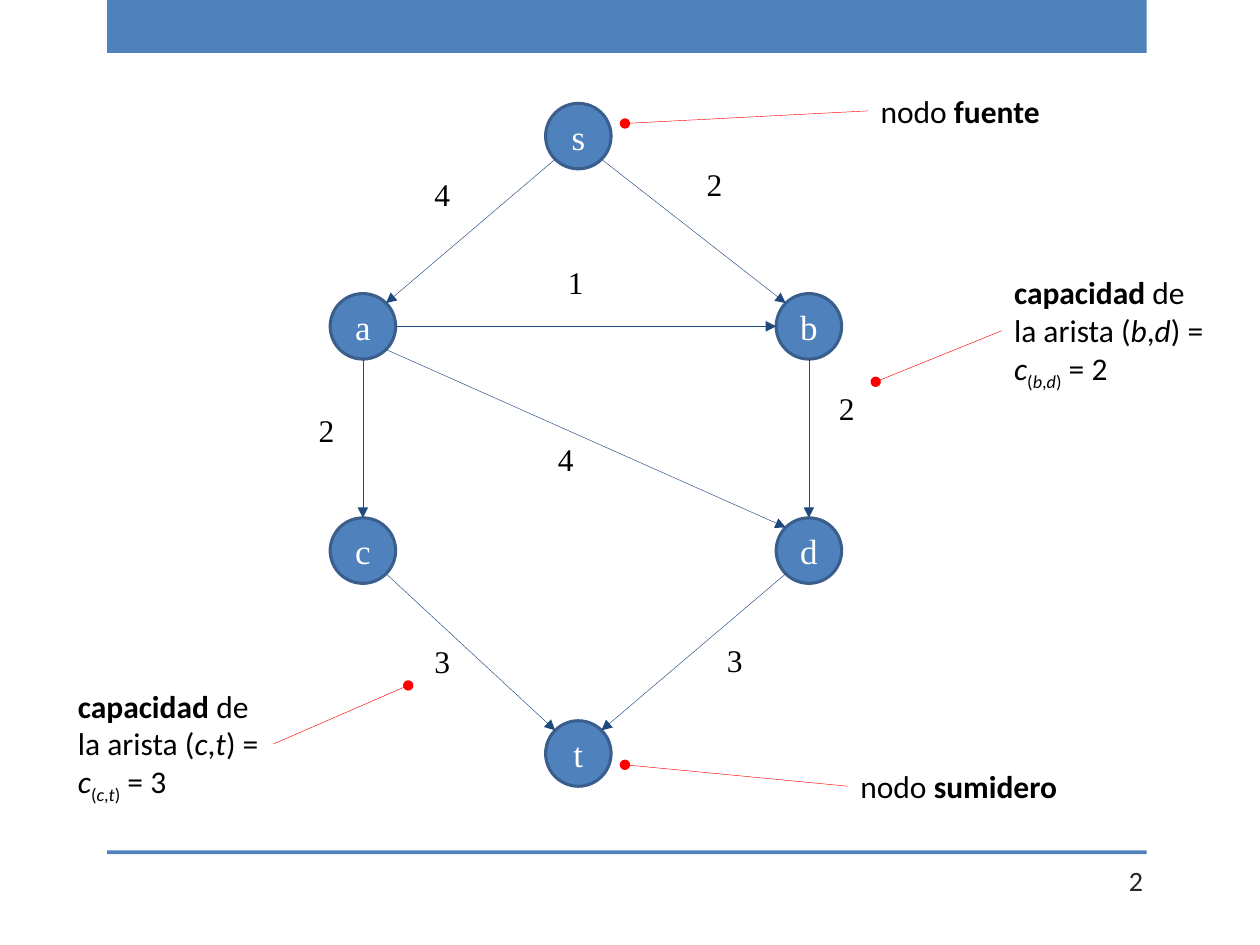
import math
from lxml import etree
from pptx import Presentation, util as u
from pptx.dml.color import RGBColor
from pptx.enum import shapes, text
from pptx.oxml.ns import qn

THEME = {
    "fill": "4F81BD", "rim": "3A5F8C", "edge": "1F497D", "leader": "FF0000",
    "ink": "000000", "light": "FFFFFF", "number": "262626",
    "sans": "Calibri", "serif": "Times New Roman",
    "node_pt": 20, "label_pt": 18, "number_pt": 16, "rim_pt": 1.75, "line_pt": 0.25,
}

# Content: node centres, edges with capacity and label position
D = 0.52
LEFT, MID, RIGHT = 2.88, 4.59, 6.42
NODES = {"s": (MID, 1.08), "t": (MID, 5.98), "a": (LEFT, 2.59),
         "b": (RIGHT, 2.59), "c": (LEFT, 4.37), "d": (RIGHT, 4.37)}
EDGES = [
    ("s", "a", "4", (3.35, 1.34)), ("s", "b", "2", (5.51, 1.26)),
    ("a", "b", "1", (4.41, 2.04)), ("a", "c", "2", (2.43, 3.21)),
    ("a", "d", "4", (4.33, 3.44)), ("b", "d", "2", (6.56, 3.04)),
    ("c", "t", "3", (3.35, 5.05)), ("d", "t", "3", (5.67, 5.04)),
]


def capacity(start, end, value):
    """Lines of (text, style) runs: b bold, i italic, s subscript."""
    return [
        [("capacidad", "b"), (" de", "")],
        [("la arista (", ""), (start, "i"), (",", ""), (end, "i"), (") =", "")],
        [("c", "i"), ("(", "s"), (start, "is"), (",", "s"), (end, "is"),
         (")", "s"), (f" = {value}", "")],
    ]


# Callouts: box, lines, side the leader leaves from, leader end
CALLOUTS = [
    ((6.89, 0.68, 1.47, 0.4), [[("nodo ", ""), ("fuente", "b")]], "left", (4.96, 0.98)),
    ((6.73, 6.04, 1.76, 0.4), [[("nodo ", ""), ("sumidero", "b")]], "left", (4.96, 6.07)),
    ((7.95, 2.12, 1.72, 1.01), capacity("b", "d", 2), "left", (6.95, 3.03)),
    ((0.52, 5.4, 1.65, 1.01), capacity("c", "t", 3), "right", (3.24, 5.44)),
]

prs = Presentation()
prs.slide_width, prs.slide_height = u.Inches(10), u.Inches(7.5)
s = prs.slides.add_slide(prs.slide_layouts[6])


def rgb(name):
    return RGBColor.from_string(THEME[name])


def add_runs(p, runs, font, size, color):
    for content, style in runs:
        r = p.add_run()
        r.text = content
        r.font.name, r.font.size = THEME[font], u.Pt(THEME[size])
        r.font.color.rgb = rgb(color)
        r.font.bold, r.font.italic = "b" in style, "i" in style
        if "s" in style:
            r._r.get_or_add_rPr().set("baseline", "-25000")


def add_shape(kind, box):
    sp = s.shapes.add_shape(kind, *map(u.Inches, box))
    sp.shadow.inherit = False
    sp.fill.solid()
    sp.fill.fore_color.rgb = rgb("fill")
    sp.line.fill.background()
    return sp


def add_label(box, lines, font):
    tf = s.shapes.add_textbox(*map(u.Inches, box)).text_frame
    tf.word_wrap = False
    tf.auto_size = text.MSO_AUTO_SIZE.SHAPE_TO_FIT_TEXT
    for i, runs in enumerate(lines):
        p = tf.add_paragraph() if i else tf.paragraphs[0]
        add_runs(p, runs, font, "label_pt", "ink")


def add_line(start, end, color, head):
    cx = s.shapes.add_connector(shapes.MSO_CONNECTOR.STRAIGHT,
                                *map(u.Inches, (*start, *end)))
    cx.line.color.rgb = rgb(color)
    cx.line.width = u.Pt(THEME["line_pt"])
    etree.SubElement(cx.line._get_or_add_ln(), qn("a:tailEnd"), type=head)
    etree.SubElement(cx._element.spPr, qn("a:effectLst"))


def rim_point(node, other):
    """Point on the node's rim, in the nearest of eight directions to other."""
    (x, y), (ox, oy) = NODES[node], NODES[other]
    dx, dy = (ox > x) - (ox < x), (oy > y) - (oy < y)
    k = D / 2 / math.hypot(dx, dy)
    return x + k * dx, y + k * dy


# Header band, footer rule and slide number
for top, height in ((0, 0.42), (6.75, 0.03)):
    add_shape(shapes.MSO_SHAPE.RECTANGLE, (0.85, top, 8.25, height))
tf = s.shapes.add_textbox(*map(u.Inches, (8.34, 6.79, 0.83, 0.4))).text_frame
tf.word_wrap = True
tf.vertical_anchor = text.MSO_ANCHOR.MIDDLE
tf.paragraphs[0].alignment = text.PP_ALIGN.RIGHT
add_runs(tf.paragraphs[0], [("2", "")], "sans", "number_pt", "number")

# Nodes
for name, (x, y) in NODES.items():
    sp = add_shape(shapes.MSO_SHAPE.OVAL, (x - D / 2, y - D / 2, D, D))
    sp.line.color.rgb = rgb("rim")
    sp.line.width = u.Pt(THEME["rim_pt"])
    tf = sp.text_frame
    tf.vertical_anchor = text.MSO_ANCHOR.MIDDLE
    tf.paragraphs[0].alignment = text.PP_ALIGN.CENTER
    add_runs(tf.paragraphs[0], [(name, "")], "serif", "node_pt", "light")

# Edges and capacities
for start, end, value, place in EDGES:
    add_line(rim_point(start, end), rim_point(end, start), "edge", "triangle")
    add_label((*place, 0.33, 0.4), [[(value, "")]], "serif")

# Callouts with leaders
for box, lines, side, target in CALLOUTS:
    x, y, w, h = box
    add_label(box, lines, "sans")
    add_line((x if side == "left" else x + w, y + h / 2), target, "leader", "oval")

prs.save("out.pptx")
